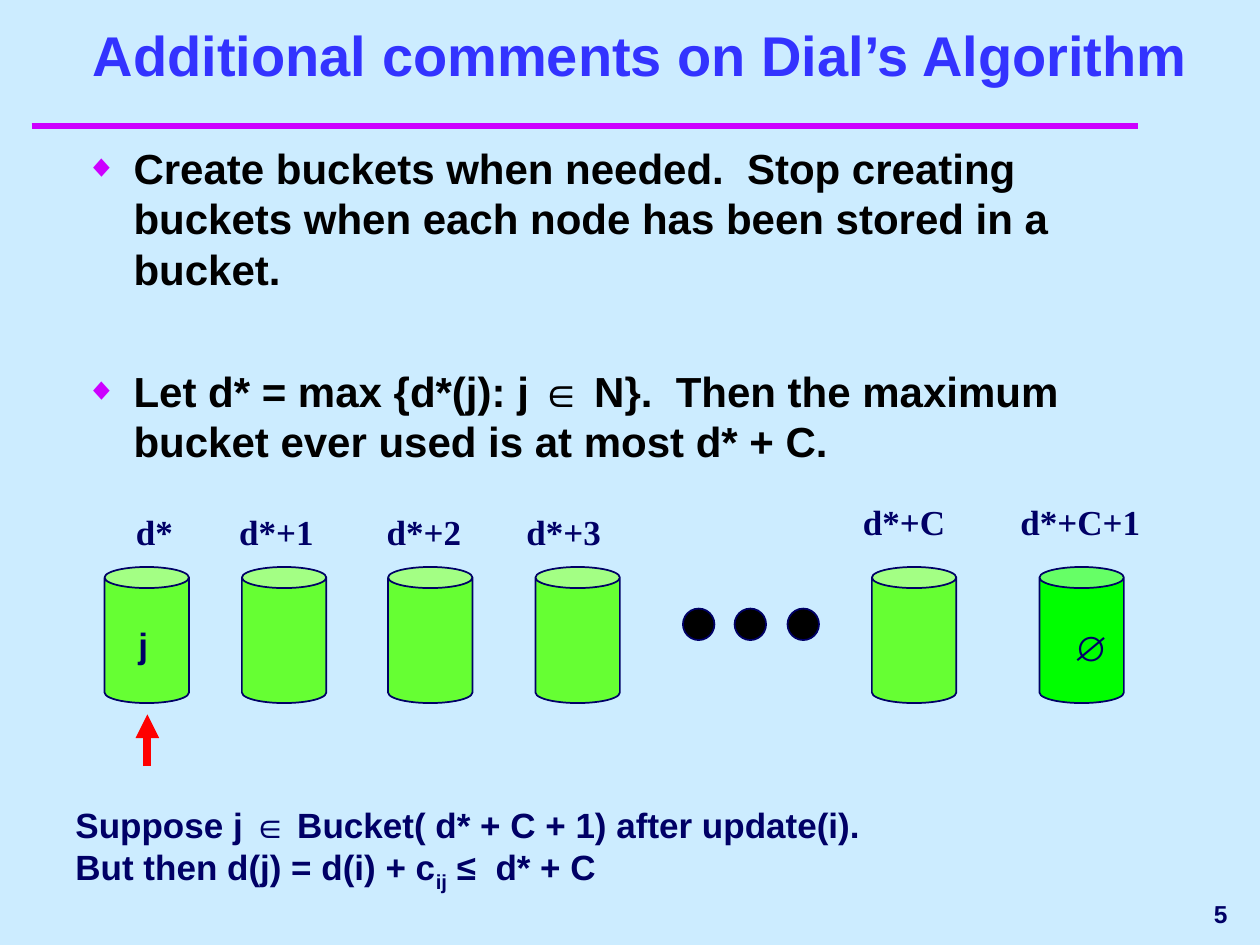
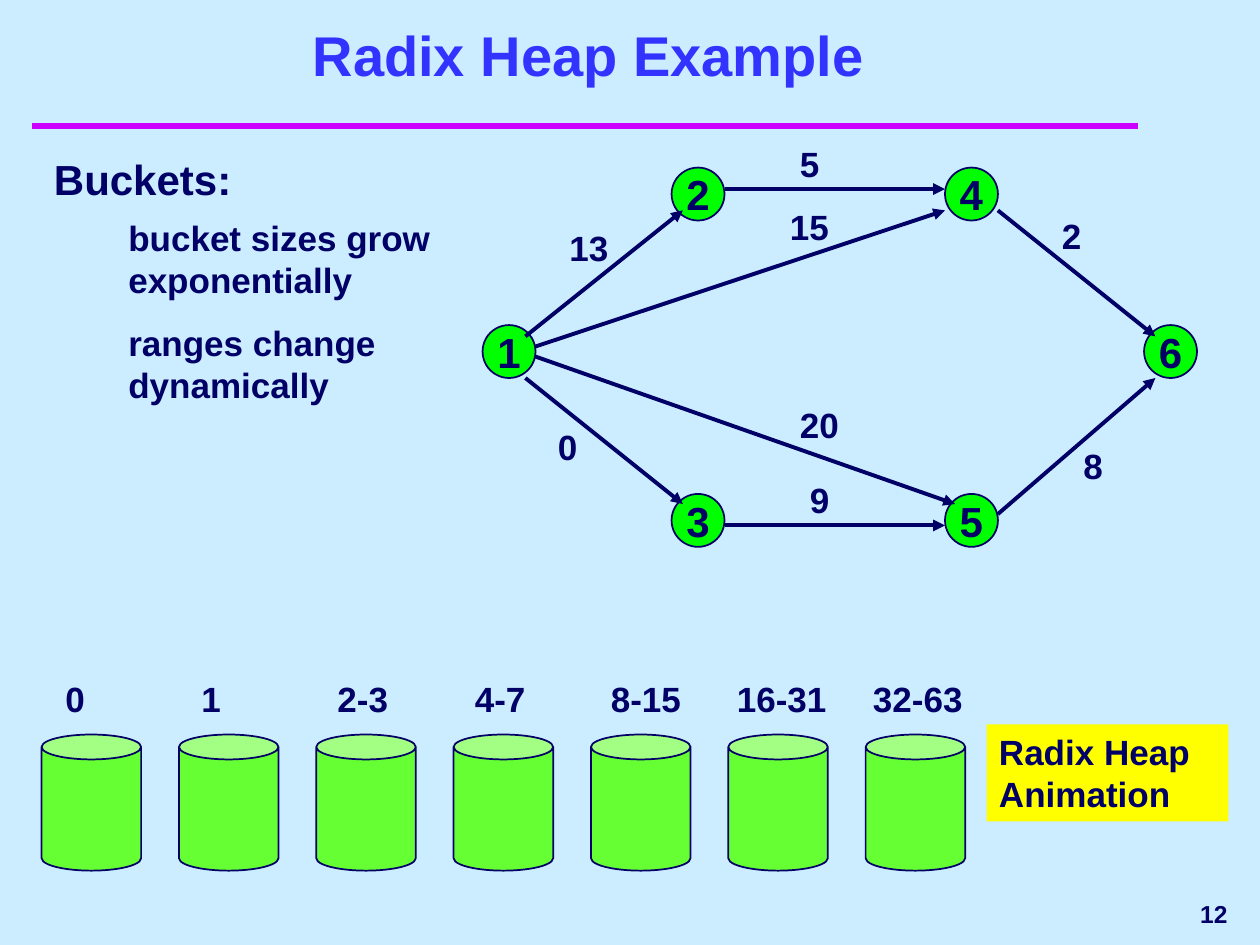
import pptx
import pptx.util
import pptx.dml.color
import pptx.enum.shapes
import pptx.enum.text
import pptx.oxml
import pptx.oxml.ns

Inches = pptx.util.Inches
Pt = pptx.util.Pt
RGBColor = pptx.dml.color.RGBColor
KIND = pptx.enum.shapes.MSO_SHAPE
ALIGN = pptx.enum.text.PP_ALIGN
ANCHOR = pptx.enum.text.MSO_ANCHOR
FIT = pptx.enum.text.MSO_AUTO_SIZE
qn = pptx.oxml.ns.qn
NS = pptx.oxml.ns.nsdecls("a")

SKY = RGBColor(0xCC, 0xEC, 0xFF)
NAVY = RGBColor(0x00, 0x00, 0x66)
BLUE = RGBColor(0x33, 0x33, 0xFF)
PURPLE = RGBColor(0xCC, 0x00, 0xFF)
LIME = RGBColor(0x66, 0xFF, 0x33)
GREEN = RGBColor(0x00, 0xFF, 0x00)
YELLOW = RGBColor(0xFF, 0xFF, 0x00)
RED = RGBColor(0xFF, 0x00, 0x00)
BLACK = RGBColor(0x00, 0x00, 0x00)
SANS = "Arial"
SERIF = "Times New Roman"


def write(para, text, size=20, color=NAVY, face=SANS):
    """Add one bold run to a paragraph."""
    run = para.add_run()
    run.text = text
    run.font.size = Pt(size)
    run.font.name = face
    run.font.bold = True
    run.font.color.rgb = color
    return run


def draw(page, kind, box, fill, edge=NAVY):
    """Add a flat preset shape; box is left, top, width, height."""
    shape = page.shapes.add_shape(kind, *map(Inches, box))
    shape.shadow.inherit = False
    shape.fill.solid()
    shape.fill.fore_color.rgb = fill
    if edge is None:
        shape.line.fill.background()
    else:
        shape.line.color.rgb = edge
        shape.line.width = Pt(1)
    return shape


deck = pptx.Presentation()
deck.slide_width = Inches(10)
deck.slide_height = Inches(7.5)
back = deck.slide_master.background.fill
back.solid()
back.fore_color.rgb = SKY
dial = deck.slides.add_slide(deck.slide_layouts[1])
radix = deck.slides.add_slide(deck.slide_layouts[5])

# Lines: page, from, to, colour, width, arrow
lines = []
# Labels: page, text, left, top, width, height, size, font
labels = []

# Titles, rules and page numbers
for page, title, box, number in [
    (dial, "Additional comments on Dial’s Algorithm", (0.42, 0, 9.33, 0.75), "5"),
    (radix, "Radix Heap Example", (0.42, 0.17, 8.5, 0.58), "12"),
]:
    head = page.shapes.title
    head.left, head.top, head.width, head.height = map(Inches, box)
    frame = head.text_frame
    frame.auto_size = FIT.NONE
    frame.vertical_anchor = ANCHOR.BOTTOM
    frame.paragraphs[0].alignment = ALIGN.CENTER
    write(frame.paragraphs[0], title, 32, BLUE)

    lines.append((page, (0.25, 1), (9.03, 1), PURPLE, 4, False))

    foot = page.shapes.add_textbox(Inches(7.92), Inches(7), Inches(1.92), Inches(0.5))
    foot.text_frame.word_wrap = True
    foot.text_frame.vertical_anchor = ANCHOR.MIDDLE
    foot.text_frame.paragraphs[0].alignment = ALIGN.RIGHT
    write(foot.text_frame.paragraphs[0], number, 14)

# Dial: bullet list
body = dial.placeholders[1]
body.left, body.top, body.width, body.height = map(Inches, (0.58, 1.08, 8.45, 3.17))
frame = body.text_frame
frame.auto_size = FIT.NONE
for para, text, gap in [
    (frame.paragraphs[0],
     "Create buckets when needed.  Stop creating buckets when each node "
     "has been stored in a bucket.", 6),
    (frame.add_paragraph(),
     "Let d* = max {d*(j): j ∈ N}.  Then the maximum bucket ever used "
     "is at most d* + C.", 41),
]:
    para.space_before = Pt(gap)
    write(para, text, 24, BLACK)
    props = para._p.get_or_add_pPr()
    props.set("marL", str(Inches(0.38)))
    props.set("indent", str(-Inches(0.38)))
    for part in (f'<a:buClr {NS}><a:srgbClr val="{PURPLE}"/></a:buClr>',
                 f'<a:buSzPct {NS} val="75000"/>',
                 f'<a:buFont {NS} typeface="{SANS}"/>',
                 f'<a:buChar {NS} char="◆"/>'):
        props.append(pptx.oxml.parse_xml(part))

# Dial: row of buckets with their names
for left, fill, name, side, top, width in [
    (0.83, LIME, "d*", 0.98, 4, 0.61),
    (1.92, LIME, "d*+1", 1.8, 4, 0.95),
    (3.08, LIME, "d*+2", 2.97, 4, 0.95),
    (4.25, LIME, "d*+3", 4.08, 4, 0.95),
    (6.92, LIME, "d*+C", 6.75, 3.92, 1.08),
    (8.25, GREEN, "d*+C+1", 8, 3.92, 1.42),
]:
    draw(dial, KIND.CAN, (left, 4.5, 0.67, 1.08), fill)
    labels.append((dial, name, side, top, width, 0.44, 20, SERIF))

for left in (5.42, 5.83, 6.25):
    draw(dial, KIND.OVAL, (left, 4.83, 0.25, 0.25), BLACK)

labels += [
    (dial, "j", 1, 4.9, 0.33, 0.44, 20, SANS),
    (dial, "∅", 8.42, 4.92, 0.5, 0.44, 20, SANS),
]
lines.append((dial, (1.17, 6.08), (1.17, 5.67), RED, 4.5, True))

# Dial: closing argument
note = dial.shapes.add_textbox(Inches(0.5), Inches(6.33), Inches(8.58), Inches(0.82))
note.text_frame.word_wrap = True
para = note.text_frame.paragraphs[0]
write(para, "Suppose j ∈ Bucket( d* + C + 1) after update(i).")
para.add_line_break()
write(para, "But then d(j) = d(i) + c")
low = write(para, "ij")
low.font._element.set("baseline", "-25000")
write(para, " ≤  d* + C")

# Radix: nodes of the graph
for name, left, top in [
    ("1", 3.83, 2.58), ("2", 5.33, 1.33), ("4", 7.5, 1.33),
    ("5", 7.5, 3.92), ("3", 5.33, 3.92), ("6", 9.08, 2.58),
]:
    node = draw(radix, KIND.OVAL, (left, top, 0.42, 0.42), GREEN)
    node.text_frame.word_wrap = False
    node.text_frame.vertical_anchor = ANCHOR.MIDDLE
    node.text_frame.paragraphs[0].alignment = ALIGN.CENTER
    write(node.text_frame.paragraphs[0], name, 24)

# Radix: edges with their costs
for start, end, cost, left, top in [
    ((4.17, 2.67), (5.42, 1.67), "13", 4.42, 1.75),
    ((4.17, 3), (5.42, 4), "0", 4.33, 3.33),
    ((4.25, 2.75), (7.5, 1.67), "15", 6.17, 1.58),
    ((4.25, 2.83), (7.58, 4), "20", 6.25, 3.15),
    ((5.75, 1.5), (7.5, 1.5), "5", 6.25, 1.08),
    ((5.75, 4.17), (7.5, 4.17), "9", 6.33, 3.75),
    ((7.92, 4.08), (9.17, 3), "8", 8.5, 3.48),
    ((7.92, 1.67), (9.17, 2.67), "2", 8.33, 1.65),
]:
    lines.append((radix, start, end, NAVY, 2.25, True))
    labels.append((radix, cost, left, top, 0.75, 0.44, 20, SANS))

# Radix: buckets with their ranges
for i, (span, left) in enumerate([
    ("0", 0.42), ("1", 1.5), ("2-3", 2.58), ("4-7", 3.67),
    ("8-15", 4.75), ("16-31", 5.75), ("32-63", 6.83),
]):
    draw(radix, KIND.CAN, (0.33 + 1.09 * i, 5.83, 0.79, 1.08), LIME)
    labels.append((radix, span, left, 5.33, 1.1, 0.44, 20, SANS))

# Radix: remarks and the yellow tag
labels += [
    (radix, "Buckets:", 0.33, 1.17, 3.17, 0.5, 24, SANS),
    (radix, "bucket sizes grow exponentially", 0.92, 1.67, 2.67, 0.77, 20, SANS),
    (radix, "ranges change dynamically", 0.92, 2.5, 2.67, 0.77, 20, SANS),
]
tag = draw(radix, KIND.RECTANGLE, (7.83, 5.75, 1.92, 0.77), YELLOW, None)
tag.text_frame.vertical_anchor = ANCHOR.TOP
tag.text_frame.paragraphs[0].alignment = ALIGN.LEFT
write(tag.text_frame.paragraphs[0], "Radix Heap Animation")

# All lines and arrows
for page, start, end, color, width, arrow in lines:
    link = page.shapes.add_connector(
        pptx.enum.shapes.MSO_CONNECTOR.STRAIGHT, *map(Inches, start + end))
    link.line.color.rgb = color
    link.line.width = Pt(width)
    props = link._element.spPr
    if arrow:
        tip = pptx.oxml.parse_xml(f'<a:tailEnd {NS} type="triangle"/>')
        props.find(qn("a:ln")).append(tip)
    props.append(pptx.oxml.parse_xml(f"<a:effectLst {NS}/>"))

# All labels
for page, text, left, top, width, height, size, face in labels:
    box = page.shapes.add_textbox(*map(Inches, (left, top, width, height)))
    box.text_frame.word_wrap = True
    write(box.text_frame.paragraphs[0], text, size, NAVY, face)

deck.save("out.pptx")
